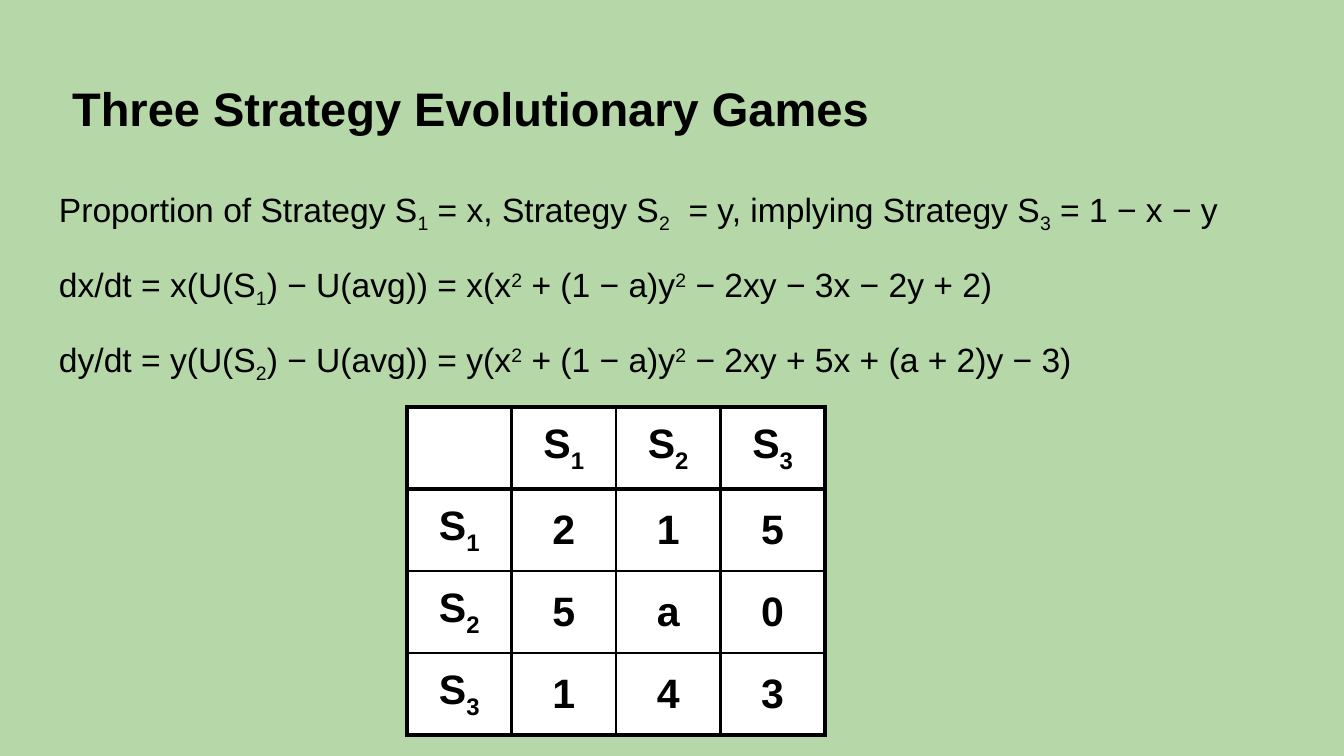
from pptx import Presentation
from pptx.dml.color import RGBColor
from pptx.enum.text import MSO_ANCHOR as Anchor, PP_ALIGN as Align
from pptx.oxml import parse_xml
from pptx.oxml.ns import nsdecls
from pptx.util import Pt

PX = 914400 / 134.4  # EMU in one px
GREEN = RGBColor(0xB6, 0xD7, 0xA8)
WHITE = RGBColor(0xFF, 0xFF, 0xFF)
BLACK = RGBColor(0x00, 0x00, 0x00)
SHIFTS = {"_": "-25000", "^": "30000"}
INSET = round(13 * PX)


def px(*lengths):
    return [round(length * PX) for length in lengths]


def write(para, text, size, bold=False):
    """Add runs split at "|"; a leading _ lowers a run, a leading ^ raises it."""
    for piece in text.split("|"):
        span = para.add_run()
        span.text = piece.lstrip("_^")
        font = span.font
        font.name, font.size, font.bold = "Arial", Pt(size), bold
        font.color.rgb = BLACK
        if piece[0] in SHIFTS:
            font._element.set("baseline", SHIFTS[piece[0]])


deck = Presentation()
deck.slide_width, deck.slide_height = px(1344, 756)
page = deck.slides.add_slide(deck.slide_layouts[5])
page.background.fill.solid()
page.background.fill.fore_color.rgb = GREEN

# Title
title = page.shapes.title
title.left, title.top, title.width, title.height = px(46, 66, 1252, 84)
title.text_frame.vertical_anchor = Anchor.MIDDLE
title.text_frame.paragraphs[0].alignment = Align.LEFT
write(title.text_frame.paragraphs[0], " Three Strategy Evolutionary Games", 25.2, True)

# Equations
EQUATIONS = [
    "Proportion of Strategy S|_1| = x, Strategy S|_2|  = y, implying Strategy S|_3| = 1 − x − y",
    "dx/dt = x(U(S|_1|) − U(avg)) = x(x|^2| + (1 − a)y|^2| − 2xy − 3x − 2y + 2)",
    "dy/dt = y(U(S|_2|) − U(avg)) = y(x|^2| + (1 − a)y|^2| − 2xy + 5x + (a + 2)y − 3)",
]
equations = page.shapes.add_textbox(*px(46, 169, 1252, 220))
equations.text_frame.word_wrap = True
for frame in (title.text_frame, equations.text_frame):
    frame.margin_left = frame.margin_right = INSET
    frame.margin_top = frame.margin_bottom = INSET
for index, equation in enumerate(EQUATIONS):
    frame = equations.text_frame
    para = frame.add_paragraph() if index else frame.paragraphs[0]
    para.line_spacing = 1.15
    para.space_before = Pt(12 if index else 0)
    write(para, equation, 18)

# Payoff table
PAYOFFS = [
    ["", "S|_1", "S|_2", "S|_3"],
    ["S|_1", "2", "1", "5"],
    ["S|_2", "5", "a", "0"],
    ["S|_3", "1", "4", "3"],
]
COUNT = len(PAYOFFS)
left, top, width, height = px(407, 407, 418, 317)
table = page.shapes.add_table(COUNT, COUNT, left, top, width, height).table
for line in range(COUNT):
    table.columns[line].width = width // COUNT
    table.rows[line].height = height // COUNT

for row, values in enumerate(PAYOFFS):
    for column, value in enumerate(values):
        cell = table.cell(row, column)
        cell.vertical_anchor = Anchor.MIDDLE
        cell.margin_left = cell.margin_right = INSET
        cell.margin_top = cell.margin_bottom = INSET
        para = cell.text_frame.paragraphs[0]
        para.alignment = Align.CENTER
        if value:
            write(para, value, 22, True)
        # Outer and header edges are heavy, the inner ones lighter
        edges = {"lnL": column, "lnR": column + 1, "lnT": row, "lnB": row + 1}
        for tag, edge in edges.items():
            weight = Pt(2.25 if edge in (0, 1, COUNT) else 1.5)
            cell._tc.get_or_add_tcPr().append(parse_xml(
                f'<a:{tag} {nsdecls("a")} w="{weight}"><a:solidFill>'
                f'<a:srgbClr val="{BLACK}"/></a:solidFill></a:{tag}>'))
        cell.fill.solid()
        cell.fill.fore_color.rgb = WHITE

deck.save("out.pptx")
